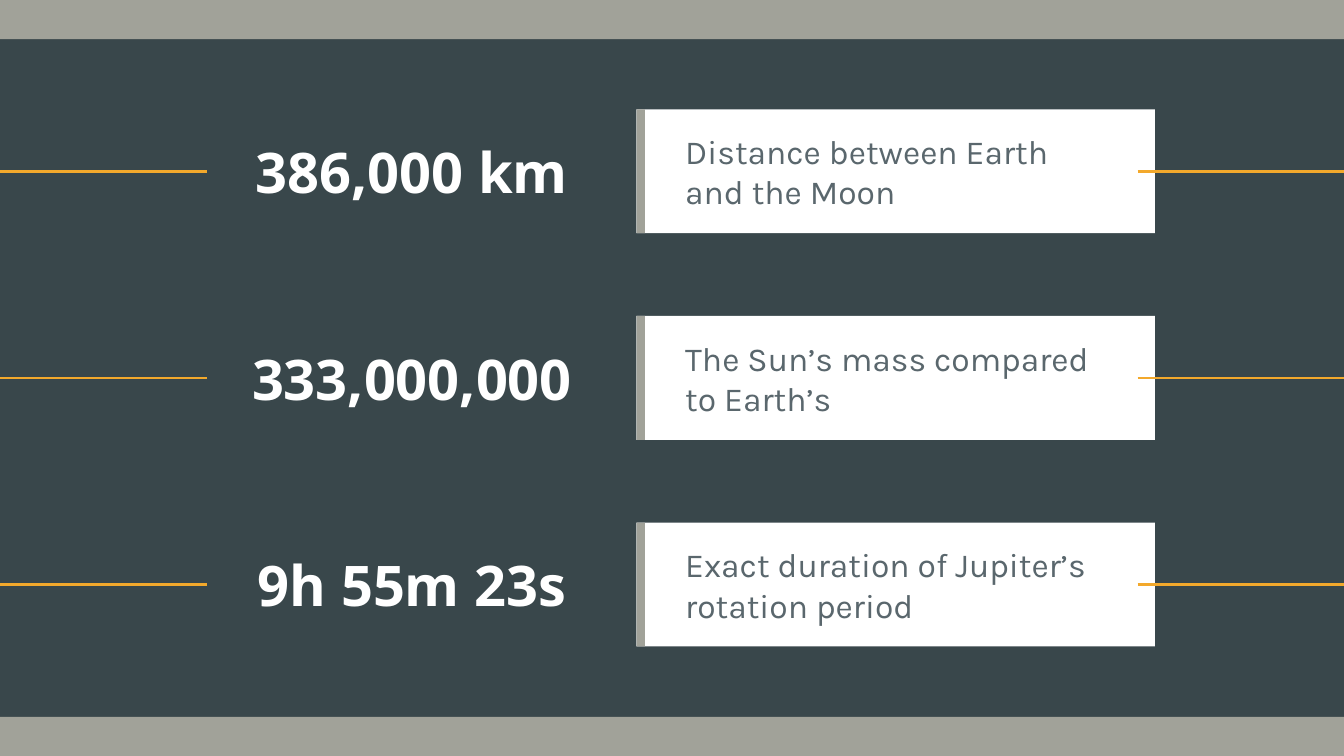
"""Build a slide of three astronomical figures with their descriptions."""
import pptx
import pptx.dml.color
import pptx.enum.shapes
import pptx.enum.text
import pptx.oxml.xmlchemy
import pptx.util

Pt = pptx.util.Pt
RGBColor = pptx.dml.color.RGBColor
ALIGN = pptx.enum.text.PP_ALIGN

FACTS = [
    ("386,000 km", ["Distance between Earth", "and the Moon"]),
    ("333,000,000", ["The Sun’s mass compared to Earth’s"]),
    ("9h 55m 23s", ["Exact duration of Jupiter’s rotation period"]),
]

SLATE = RGBColor(0x39, 0x47, 0x4B)
STONE = RGBColor(0xA1, 0xA2, 0x99)
WHITE = RGBColor(0xFF, 0xFF, 0xFF)
GREY = RGBColor(0x5A, 0x67, 0x6D)
AMBER = RGBColor(0xF3, 0xA9, 0x2C)

WIDTH, HEIGHT = 720, 405
BAND_HEIGHT = 21
ROW_HEIGHT, ROW_PITCH = 66.4, 110.7
NUMBER_LEFT, NUMBER_WIDTH = 100.8, 240
PANEL_LEFT, PANEL_WIDTH = 341, 277.8
ACCENT_WIDTH = 4.5
CAPTION_LEFT, CAPTION_WIDTH, CAPTION_HEIGHT = 360, 240, 60.5
RULES = [(-1, 111), (609.5, 721)]


def add_rectangle(slide, left, top, width, height, color):
    shape = slide.shapes.add_shape(
        pptx.enum.shapes.MSO_SHAPE.RECTANGLE, Pt(left), Pt(top), Pt(width), Pt(height))
    shape.shadow.inherit = False
    shape.fill.solid()
    shape.fill.fore_color.rgb = color
    shape.line.fill.background()
    return shape


def add_rule(slide, start, end, y):
    line = slide.shapes.add_connector(
        pptx.enum.shapes.MSO_CONNECTOR.STRAIGHT, Pt(start), Pt(y), Pt(end), Pt(y))
    line.line.color.rgb = AMBER
    line.line.width = Pt(1.5)
    line._element.spPr.append(pptx.oxml.xmlchemy.OxmlElement("a:effectLst"))


def write_text(shape, lines, size, font, color, align, bold=False):
    frame = shape.text_frame
    frame.word_wrap = True
    frame.auto_size = pptx.enum.text.MSO_AUTO_SIZE.NONE
    frame.vertical_anchor = pptx.enum.text.MSO_ANCHOR.MIDDLE
    frame.margin_left = frame.margin_right = Pt(7.2)
    frame.margin_top = frame.margin_bottom = Pt(7.2)
    for index, text in enumerate(lines):
        paragraph = frame.add_paragraph() if index else frame.paragraphs[0]
        paragraph.alignment = align
        run = paragraph.add_run()
        run.text = text
        run.font.size = Pt(size)
        run.font.name = font
        run.font.bold = bold
        run.font.color.rgb = color


def add_number(slide, text, top, is_title):
    box = NUMBER_LEFT, top, NUMBER_WIDTH, ROW_HEIGHT
    if is_title:
        shape = slide.shapes.title
        shape.left, shape.top, shape.width, shape.height = map(Pt, box)
        shape.fill.solid()
        shape.fill.fore_color.rgb = SLATE
    else:
        shape = add_rectangle(slide, *box, SLATE)
    write_text(shape, [text], 30, "Open Sans", WHITE, ALIGN.CENTER, bold=True)


def add_fact(slide, index, number, caption):
    middle = HEIGHT / 2 + (index - (len(FACTS) - 1) / 2) * ROW_PITCH
    top = middle - ROW_HEIGHT / 2
    add_number(slide, number, top, is_title=index == 0)
    add_rectangle(slide, PANEL_LEFT, top, PANEL_WIDTH, ROW_HEIGHT, WHITE)
    text_box = slide.shapes.add_textbox(
        Pt(CAPTION_LEFT), Pt(middle - CAPTION_HEIGHT / 2),
        Pt(CAPTION_WIDTH), Pt(CAPTION_HEIGHT))
    write_text(text_box, caption, 18, "Karla", GREY, ALIGN.LEFT)
    for start, end in RULES:
        add_rule(slide, start, end, middle)
    add_rectangle(slide, PANEL_LEFT, top, ACCENT_WIDTH, ROW_HEIGHT, STONE)


def main():
    presentation = pptx.Presentation()
    presentation.slide_width, presentation.slide_height = Pt(WIDTH), Pt(HEIGHT)
    slide = presentation.slides.add_slide(presentation.slide_layouts[5])
    slide.background.fill.solid()
    slide.background.fill.fore_color.rgb = SLATE
    for top in (0, HEIGHT - BAND_HEIGHT):
        add_rectangle(slide, 0, top, WIDTH, BAND_HEIGHT, STONE)
    for index, (number, caption) in enumerate(FACTS):
        add_fact(slide, index, number, caption)
    presentation.save("out.pptx")


if __name__ == "__main__":
    main()
